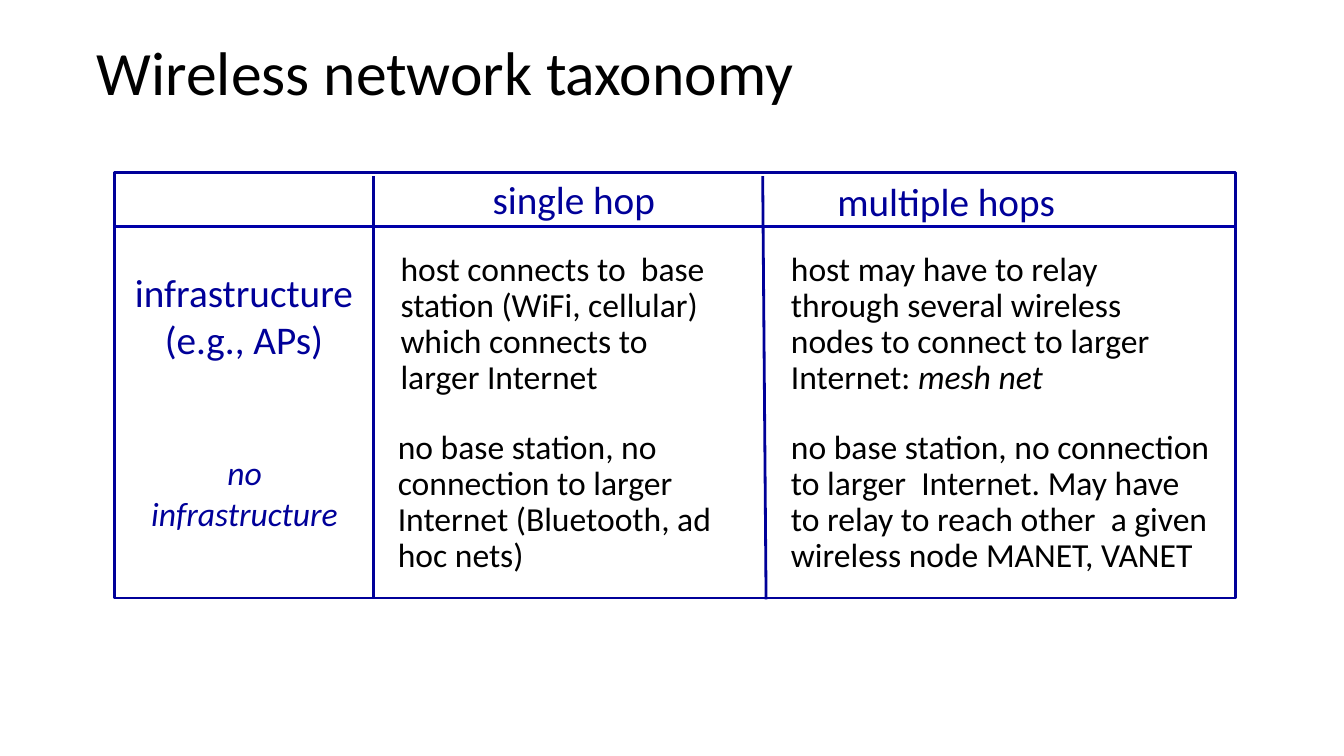
from dataclasses import dataclass

from lxml import etree
from pptx import Presentation
from pptx.dml.color import RGBColor
from pptx.enum.shapes import MSO_CONNECTOR, MSO_SHAPE
from pptx.enum.text import MSO_ANCHOR, PP_ALIGN
from pptx.oxml.ns import qn
from pptx.util import Inches, Pt

RECTANGLE = MSO_SHAPE.RECTANGLE
STRAIGHT = MSO_CONNECTOR.STRAIGHT
TOP = MSO_ANCHOR.TOP
MIDDLE = MSO_ANCHOR.MIDDLE
LEFT = PP_ALIGN.LEFT
CENTER = PP_ALIGN.CENTER


@dataclass(frozen=True)
class Theme:
    font: str = "Calibri"
    ink: RGBColor = RGBColor(0x00, 0x00, 0x00)
    accent: RGBColor = RGBColor(0x00, 0x00, 0x99)
    header_rule: RGBColor = RGBColor(0x00, 0x00, 0xA8)
    title: float = 33
    label: float = 21
    body: float = 18
    tight: float = 0.9
    rule: float = 1.5
    header_weight: float = 1.75


THEME = Theme()
GRID = 0.1
SLIDE_COLUMNS = 100
SLIDE_ROWS = SLIDE_COLUMNS * 9 / 16
INSET_X, INSET_Y = 0.7, 0.4


def grid(units):
    return Inches(units * GRID)


@dataclass(frozen=True)
class Box:
    column: float
    row: float
    columns: float
    rows: float

    def inner(self, column, row, columns, rows):
        return Box(self.column + column, self.row + row, columns, rows)

    def point(self, column, row):
        return grid(self.column + column), grid(self.row + row)

    def frame(self):
        return tuple(grid(n) for n in (self.column, self.row, self.columns, self.rows))


def add_text(slide, box, paragraphs, size, color, align=LEFT, spacing=1.0,
             italic=False, anchor=TOP):
    frame = slide.shapes.add_textbox(*box.frame()).text_frame
    frame.word_wrap = True
    frame.vertical_anchor = anchor
    frame.margin_left = frame.margin_right = grid(INSET_X)
    frame.margin_top = frame.margin_bottom = grid(INSET_Y)
    for index, wording in enumerate(paragraphs):
        paragraph = frame.add_paragraph() if index else frame.paragraphs[0]
        paragraph.alignment = align
        paragraph.line_spacing = spacing
        paragraph.font.name = THEME.font
        paragraph.font.size = Pt(size)
        paragraph.font.color.rgb = color
        paragraph.font.italic = italic
        plain, _, emphasis = wording.partition("*")
        paragraph.add_run().text = plain
        if emphasis:
            stressed = paragraph.add_run()
            stressed.text = emphasis
            stressed.font.italic = True


def add_rule(slide, box, start, end, color=THEME.accent, weight=THEME.rule):
    rule = slide.shapes.add_connector(STRAIGHT, *box.point(*start), *box.point(*end))
    rule.line.color.rgb = color
    rule.line.width = Pt(weight)
    etree.SubElement(rule.element.spPr, qn("a:effectLst"))


def add_title(slide, box):
    add_text(slide, box, ["Wireless network taxonomy"], THEME.title, THEME.ink,
             spacing=THEME.tight, anchor=MIDDLE)


def add_labels(slide, box):
    add_text(slide, box.inner(27.45, -0.2, 13.7, 4.3), ["single hop"],
             THEME.label, THEME.accent)
    add_text(slide, box.inner(53.1, -0.05, 17.9, 4.3), ["multiple hops"],
             THEME.label, THEME.accent)
    add_text(slide, box.inner(0.7, 6.75, 17.9, 7.8), ["infrastructure", "(e.g., APs)"],
             THEME.label, THEME.accent, align=CENTER)
    add_text(slide, box.inner(1.9, 20.4, 15.6, 6.8), ["no", "infrastructure"],
             THEME.body, THEME.accent, align=CENTER, italic=True)


def add_descriptions(slide, box):
    infrastructure_row, ad_hoc_row, height = 5.5, 18.75, 11.7
    descriptions = [
        (20.6, infrastructure_row, 24.8,
         ["host connects to  base station (WiFi, cellular) which connects to  larger Internet"]),
        (20.4, ad_hoc_row, 27.6,
         ["no base station, no connection to larger  Internet (Bluetooth, ad hoc nets)"]),
        (49.65, infrastructure_row, 31.4,
         ["host may have to relay through several wireless nodes to connect to larger",
          "Internet: *mesh net"]),
        (49.65, ad_hoc_row, 32.8,
         ["no base station, no connection to larger  Internet. May have to relay "
          "to reach other  a given wireless node MANET, VANET"]),
    ]
    for column, row, columns, paragraphs in descriptions:
        add_text(slide, box.inner(column, row, columns, height), paragraphs,
                 THEME.body, THEME.ink, spacing=THEME.tight)


def add_rules(slide, box):
    border = slide.shapes.add_shape(RECTANGLE, *box.frame())
    border.shadow.inherit = False
    border.fill.background()
    border.line.color.rgb = THEME.accent
    border.line.width = Pt(THEME.rule)
    add_rule(slide, box, (19.3, 0.25), (19.3, 31.55))
    add_rule(slide, box, (48.25, 0.25), (48.5, 31.75))
    add_rule(slide, box, (-0.1, 4), (box.columns + 0.1, 4),
             THEME.header_rule, THEME.header_weight)


def add_taxonomy(slide, box):
    add_labels(slide, box)
    add_descriptions(slide, box)
    add_rules(slide, box)


def main():
    deck = Presentation()
    deck.slide_width = grid(SLIDE_COLUMNS)
    deck.slide_height = grid(SLIDE_ROWS)
    slide = deck.slides.add_slide(deck.slide_layouts[6])
    add_title(slide, Box(6.5, 1.95, 86.2, 7.3))
    add_taxonomy(slide, Box(8.5, 12.85, 83.45, 31.65))
    deck.save("out.pptx")


if __name__ == "__main__":
    main()
